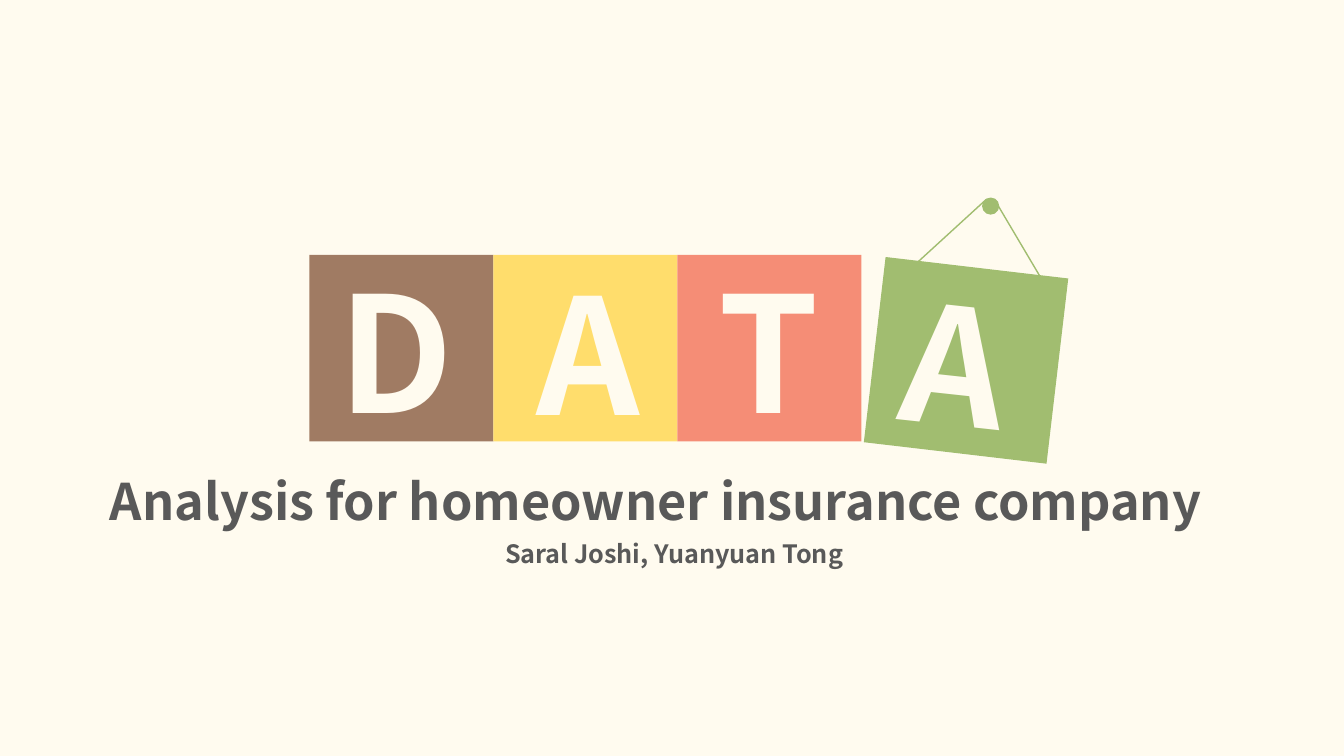
from dataclasses import dataclass

from pptx import Presentation
from pptx.dml.color import RGBColor
from pptx.enum.shapes import MSO_SHAPE as Shape
from pptx.enum.text import MSO_ANCHOR as Anchor, MSO_AUTO_SIZE as AutoSize, PP_ALIGN as Align
from pptx.util import Inches, Pt

CREAM = RGBColor(0xFF, 0xFB, 0xEF)
BROWN = RGBColor(0xA0, 0x7B, 0x63)
YELLOW = RGBColor(0xFF, 0xDD, 0x6C)
CORAL = RGBColor(0xF5, 0x8D, 0x76)
GREEN = RGBColor(0xA1, 0xBD, 0x70)
GREY = RGBColor(0x59, 0x59, 0x59)
FONT = "Noto Sans CJK SC"

# The slide is a grid of 100 columns by 100 rows
WIDTH, HEIGHT = Inches(13.333), Inches(7.5)
TILE_LEFT, TILE_TOP = 23.03, 33.73
TILE_W, TILE_H = 13.69, 24.67
LETTER_H = 27.2


@dataclass(frozen=True)
class Box:
    col: float
    row: float
    cols: float
    rows: float
    turn: float = 0


@dataclass(frozen=True)
class Card:
    letter: str
    color: RGBColor
    tile: Box
    text: Box


def tile_box(i: int) -> Box:
    return Box(TILE_LEFT + i * TILE_W, TILE_TOP, TILE_W, TILE_H)


CARDS = [
    Card("D", BROWN, tile_box(0), Box(24.46, 32.8, 11.1, LETTER_H)),
    Card("A", YELLOW, tile_box(1), Box(39.16, 33.07, 10.65, LETTER_H)),
    Card("T", CORAL, tile_box(2), Box(52.74, 32.8, 9.08, LETTER_H)),
    Card("A", GREEN, Box(65.04, 35.33, TILE_W, TILE_H, 6.7),
         Box(66.47, 34.53, 10.65, LETTER_H, 6.2)),
]
TITLE_BOX = Box(7.43, 61.47, 85.9, 9.47)
AUTHORS_BOX = Box(36.83, 70.53, 27.31, 5.33)
PIN_BOX = Box(73.07, 26.13, 1.28, 2.27)
ROPE = [(67.14, 36.53), (73.37, 26.4), (74.04, 26.53), (78.17, 38.93)]


def x(col: float) -> int:
    return round(WIDTH * col / 100)


def y(row: float) -> int:
    return round(HEIGHT * row / 100)


def set_all(obj, values: dict) -> None:
    for name, value in values.items():
        setattr(obj, name, value)


def place(sp, box: Box) -> None:
    set_all(sp, {"left": x(box.col), "top": y(box.row), "width": x(box.cols),
                 "height": y(box.rows), "rotation": box.turn})


def add_solid(slide, kind: Shape, box: Box, color: RGBColor) -> None:
    sp = slide.shapes.add_shape(kind, 0, 0, 0, 0)
    place(sp, box)
    sp.shadow.inherit = False
    sp.fill.solid()
    sp.fill.fore_color.rgb = color
    sp.line.fill.background()


def write(sp, box: Box, text: str, size: float, color: RGBColor) -> None:
    place(sp, box)
    tf = sp.text_frame
    set_all(tf, {"word_wrap": False, "auto_size": AutoSize.SHAPE_TO_FIT_TEXT,
                 "vertical_anchor": Anchor.TOP})
    p = tf.paragraphs[0]
    set_all(p, {"alignment": Align.LEFT, "space_before": Pt(0)})
    r = p.add_run()
    r.text = text
    set_all(r.font, {"name": FONT, "size": Pt(size), "bold": True})
    r.font.color.rgb = color


def add_rope(slide) -> None:
    points = [(x(col), y(row)) for col, row in ROPE]
    builder = slide.shapes.build_freeform(*points[0])
    builder.add_line_segments(points[1:], close=False)
    sp = builder.convert_to_shape()
    sp.shadow.inherit = False
    sp.fill.background()
    sp.line.color.rgb = GREEN
    sp.line.width = Pt(1)


def main() -> None:
    prs = Presentation()
    set_all(prs, {"slide_width": WIDTH, "slide_height": HEIGHT})
    slide = prs.slides.add_slide(prs.slide_layouts[0])
    slide.background.fill.solid()
    slide.background.fill.fore_color.rgb = CREAM

    # Letter cards
    for card in CARDS:
        add_solid(slide, Shape.RECTANGLE, card.tile, card.color)
    for card in CARDS:
        write(slide.shapes.add_textbox(0, 0, 0, 0), card.text, card.letter, 115, CREAM)

    # Title and authors
    write(slide.shapes.title, TITLE_BOX, "Analysis for homeowner insurance company", 36, GREY)
    write(slide.placeholders[1], AUTHORS_BOX, "Saral Joshi, Yuanyuan Tong", 18, GREY)

    # Pin and rope of the hanging card
    add_solid(slide, Shape.OVAL, PIN_BOX, GREEN)
    add_rope(slide)

    prs.save("out.pptx")


if __name__ == "__main__":
    main()
